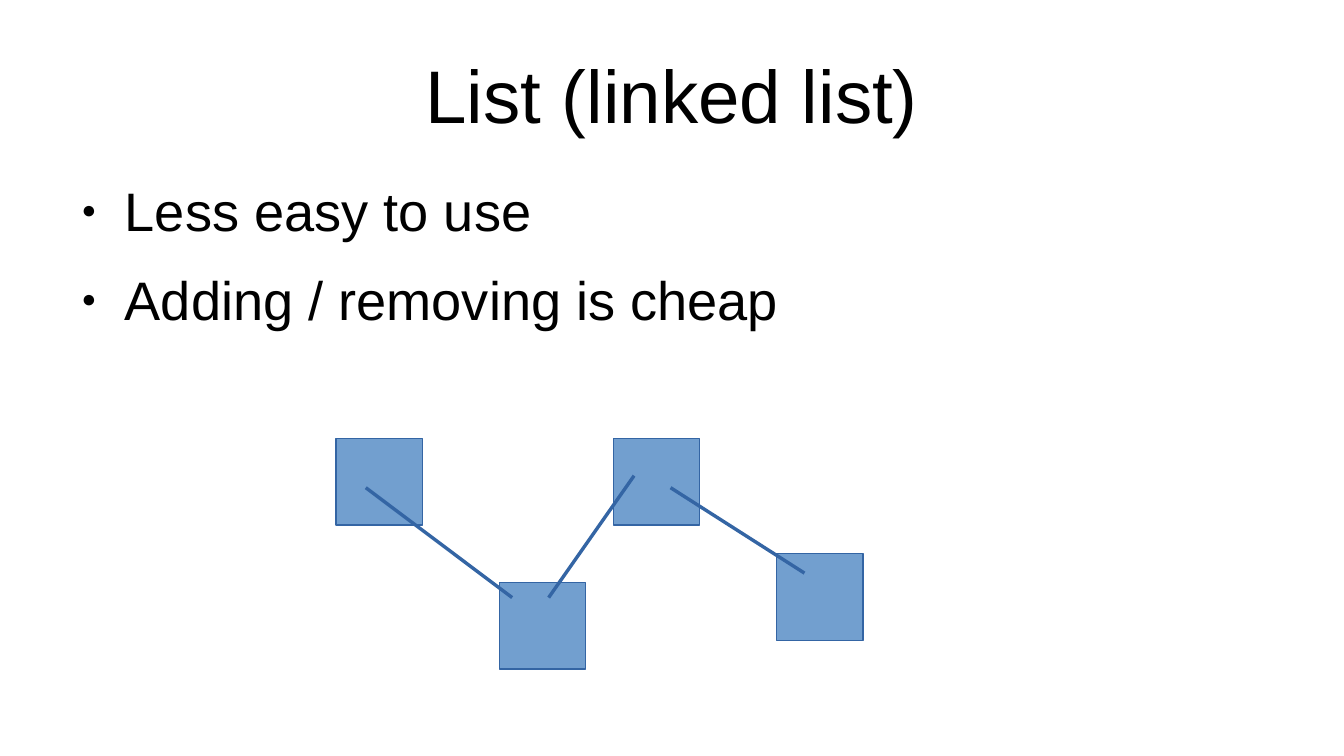
from dataclasses import dataclass
from typing import Any

from lxml import etree
from pptx import Presentation
from pptx import util as u
from pptx.dml import color
from pptx.enum import shapes, text
from pptx.oxml import ns

HUES = {"ink": "000000", "node": "729FCF", "edge": "3465A4"}
SIDE = 1.8


@dataclass
class Node:
    x: float
    y: float


@dataclass
class Link:
    x1: float
    y1: float
    x2: float
    y2: float


NODES = [Node(7, 9.14), Node(10.4, 12.14), Node(12.78, 9.14), Node(16.18, 11.54)]
LINKS = [
    Link(7.62, 10.16, 10.67, 12.45),
    Link(11.43, 12.45, 13.21, 9.91),
    Link(13.97, 10.16, 16.76, 11.94),
]
POINTS = ["Less easy to use", "Adding / removing is cheap"]


def hue(name: str) -> color.RGBColor:
    return color.RGBColor.from_string(HUES[name])


def apply(item: Any, form: dict[str, Any]) -> None:
    for key, value in form.items():
        setattr(item, key, value)


def place(holder: Any, top: float, height: float, anchor: Any) -> Any:
    apply(holder, {"left": u.Cm(1.4), "top": u.Cm(top),
                   "width": u.Cm(25.2), "height": u.Cm(height)})
    frame = holder.text_frame
    apply(frame, {"margin_left": 0, "margin_top": 0, "margin_right": 0,
                  "margin_bottom": 0, "word_wrap": True,
                  "auto_size": text.MSO_AUTO_SIZE.NONE, "vertical_anchor": anchor})
    return frame


def style(para: Any, size: int) -> None:
    apply(para.font, {"name": "Arial", "size": u.Pt(size)})
    para.font.color.rgb = hue("ink")


def bullet(para: Any) -> None:
    props = para._p.get_or_add_pPr()
    apply_xml = {"marL": u.Cm(1.2), "indent": u.Cm(-0.9)}
    for key, value in apply_xml.items():
        props.set(key, str(int(value)))
    tint = etree.SubElement(props, ns.qn("a:buClr"))
    etree.SubElement(tint, ns.qn("a:srgbClr"), val=HUES["ink"])
    etree.SubElement(props, ns.qn("a:buSzPct"), val="45000")
    etree.SubElement(props, ns.qn("a:buFont"), typeface="Arial")
    etree.SubElement(props, ns.qn("a:buChar"), char="●")


def edge(line: Any) -> None:
    line.color.rgb = hue("edge")
    line.width = u.Pt(0)


def draw_node(slide: Any, node: Node) -> None:
    box = slide.shapes.add_shape(shapes.MSO_SHAPE.RECTANGLE, u.Cm(node.x),
                                 u.Cm(node.y), u.Cm(SIDE), u.Cm(SIDE))
    box.shadow.inherit = False
    box.fill.solid()
    box.fill.fore_color.rgb = hue("node")
    edge(box.line)


def draw_link(slide: Any, link: Link) -> None:
    line = slide.shapes.add_connector(shapes.MSO_CONNECTOR.STRAIGHT, u.Cm(link.x1),
                                      u.Cm(link.y1), u.Cm(link.x2), u.Cm(link.y2))
    edge(line.line)
    etree.SubElement(line._element.spPr, ns.qn("a:effectLst"))


def main() -> None:
    deck = Presentation()
    apply(deck, {"slide_width": u.Cm(28), "slide_height": u.Cm(15.75)})
    slide = deck.slides.add_slide(deck.slide_layouts[1])

    title = place(slide.shapes.title, 0.63, 2.63, text.MSO_ANCHOR.MIDDLE)
    head = title.paragraphs[0]
    apply(head, {"text": "List (linked list)", "alignment": text.PP_ALIGN.CENTER})
    style(head, 44)

    body = place(slide.placeholders[1], 3.69, 9.13, text.MSO_ANCHOR.TOP)
    body.text = "\n".join(POINTS)
    for rank, para in enumerate(body.paragraphs):
        bullet(para)
        para.space_before = u.Pt(14.2 if rank else 0)
        style(para, 32)

    for node in NODES:
        draw_node(slide, node)
    for link in LINKS:
        draw_link(slide, link)
    deck.save("out.pptx")


if __name__ == "__main__":
    main()
